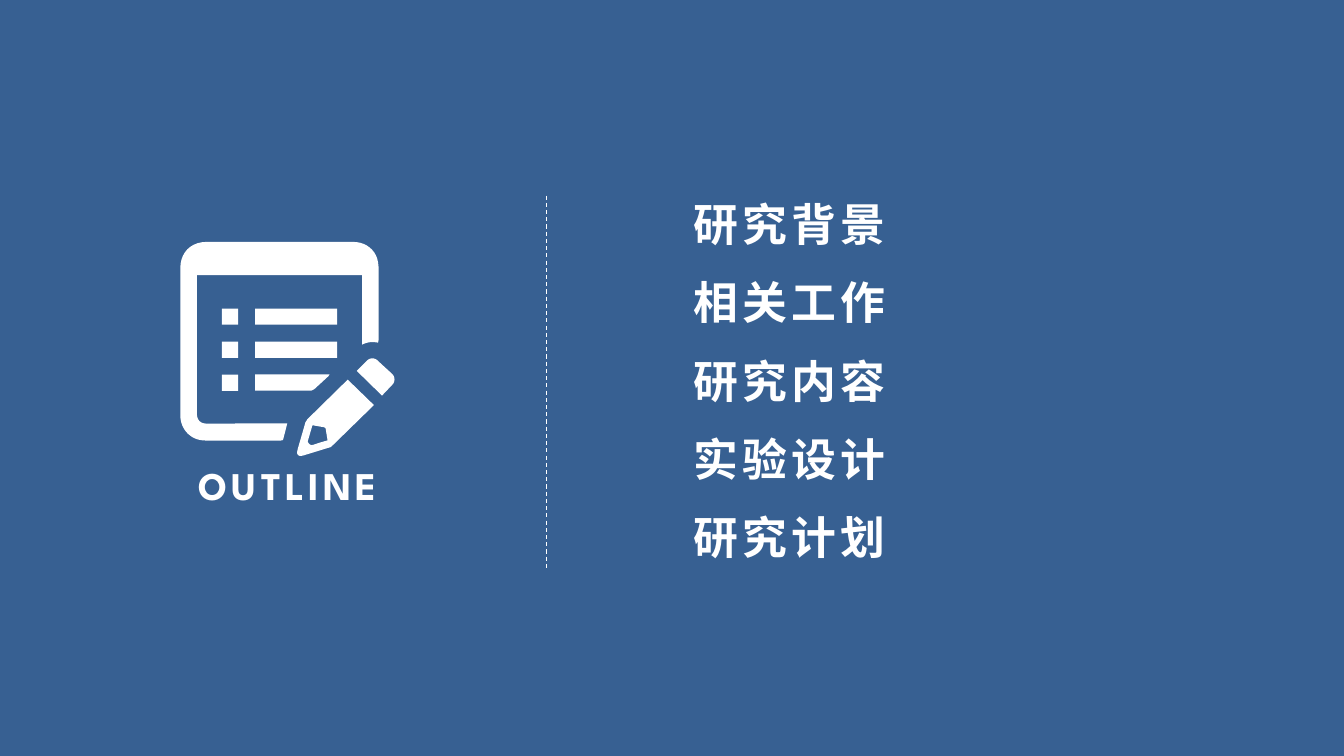
from lxml.etree import SubElement
from pptx import Presentation
from pptx.dml.color import RGBColor
from pptx.enum.dml import MSO_LINE
from pptx.enum.shapes import MSO_CONNECTOR, MSO_SHAPE
from pptx.enum.text import MSO_AUTO_SIZE as AutoSize, PP_ALIGN as Align
from pptx.oxml.ns import qn
from pptx.util import Pt

TOPICS = ["研究背景", "相关工作", "研究内容", "实验设计", "研究计划"]
HEADING = "OUTLINE"
TOPIC_FONT = "Noto Sans CJK SC"
HEADING_FONT = "League Spartan"
BLUE = RGBColor(0x37, 0x60, 0x92)
WHITE = RGBColor(0xFF, 0xFF, 0xFF)

# Each contour step is a line end (x, y) or a cubic curve (x1, y1, x2, y2, x, y).
NOTEPAD = [[
    (205.2, 302.4), (202.3, 313.9), (201.6, 314.6), (200.2, 314.7), (147.6, 314.7),
    (144, 314.7, 140.9, 314.2, 137.5, 312.3), (131.8, 308.9, 128.8, 303.1, 128.8, 296.6),
    (128.8, 191.5), (128.8, 180.7, 136.1, 172.8, 147.6, 172.8), (252, 172.8),
    (261.4, 172.8, 268.6, 178.6, 270, 187.2), (270.5, 191.5), (270.5, 242.6), (270, 244.8),
    (266.4, 244.1, 262.8, 244.1, 258.6, 246.2), (258.6, 196.6), (140.6, 196.6),
    (140.6, 295.2), (140.6, 299.5, 142.6, 302.6, 147.6, 302.6),
]]
PENCIL = [
    [(248.4, 271.2), (267.1, 289.4), (238.3, 317.5), (236.2, 319.4), (216.7, 325.4),
     (215.3, 325.7, 213.8, 326, 213, 325), (211.7, 324, 212.4, 322.6, 212.6, 321.1),
     (218.2, 301.7), (219.6, 299.5)],
    [(223.2, 303.8), (219.8, 315.4), (220.3, 316.4), (221.8, 318.2, 222.5, 318.2, 224.6, 317.5),
     (228.2, 316.3), (234, 314.6), (232.6, 306), (231.8, 305.3)],
]
ERASER = [[
    (254.9, 265), (262.1, 257.8), (264.2, 255.4, 267.8, 255.4, 270, 257.8),
    (280.1, 267.1), (282.4, 269.3, 282.4, 272.9, 280.1, 275), (272.9, 282.6),
]]
CUT_BAR = [[
    (182.2, 267.4), (235.4, 267.4), (234.7, 268.6), (224.6, 277.9), (222.5, 279), (182.2, 279.1),
]]

BULLET_LEFT, BAR_LEFT, ROW_TOP, ROW_STEP = 158.5, 182.2, 220.4, 23.6
BULLET_SIZE, BAR_WIDTH = 11.6, 58.6
TOPIC_LEFT, TOPIC_TOP, TOPIC_STEP = 488.2, 136.8, 56


def flatten(contour, steps=10):
    points = [contour[0]]
    for move in contour[1:]:
        if len(move) == 2:
            points.append(move)
            continue
        start, first, second, end = points[-1], move[:2], move[2:4], move[4:]
        for step in range(1, steps + 1):
            t = step / steps
            u = 1 - t
            points.append(tuple(
                u**3 * a + 3 * u * u * t * b + 3 * u * t * t * c + t**3 * d
                for a, b, c, d in zip(start, first, second, end)))
    return [(Pt(x), Pt(y)) for x, y in points]


def paint(shape):
    shape.shadow.inherit = False
    shape.fill.solid()
    shape.fill.fore_color.rgb = WHITE
    shape.line.fill.background()


def add_outline(shapes, contours):
    first, *others = [flatten(contour) for contour in contours]
    builder = shapes.build_freeform(*first[0], scale=1.0)
    builder.add_line_segments(first[1:], close=True)
    for points in others:
        builder.move_to(*points[0])
        builder.add_line_segments(points[1:], close=True)
    paint(builder.convert_to_shape())


def add_bar(shapes, left, top, width):
    paint(shapes.add_shape(MSO_SHAPE.RECTANGLE, Pt(left), Pt(top), Pt(width), Pt(BULLET_SIZE)))


def add_text(page, text, left, top, width, height, size, face, align):
    box = page.shapes.add_textbox(Pt(left), Pt(top), Pt(width), Pt(height))
    frame = box.text_frame
    frame.text = text
    frame.word_wrap = True
    frame.auto_size = AutoSize.SHAPE_TO_FIT_TEXT
    para = frame.paragraphs[0]
    para.alignment = align
    span = para.runs[0]
    span.font.size = Pt(size)
    span.font.bold = True
    span.font.name = face
    span.font.color.rgb = WHITE
    properties = span.font._element
    properties.set("spc", "300")
    SubElement(properties, qn("a:ea")).set("typeface", face)


def add_divider(page):
    divider = page.shapes.add_connector(
        MSO_CONNECTOR.STRAIGHT, Pt(390.2), Pt(139.7), Pt(390.2), Pt(406))
    divider.line.color.rgb = WHITE
    divider.line.width = Pt(0.75)
    divider.line.dash_style = MSO_LINE.DASH
    SubElement(divider._element.spPr, qn("a:effectLst"))


def add_icon(page):
    icon = page.shapes.add_group_shape().shapes
    for outline in (NOTEPAD, PENCIL, CUT_BAR, ERASER):
        add_outline(icon, outline)
    for row in range(3):
        top = ROW_TOP + row * ROW_STEP
        add_bar(icon, BULLET_LEFT, top, BULLET_SIZE)
        if row < 2:
            add_bar(icon, BAR_LEFT, top, BAR_WIDTH)


def main():
    deck = Presentation()
    deck.slide_width, deck.slide_height = Pt(960), Pt(540)
    page = deck.slides.add_slide(deck.slide_layouts[6])
    page.background.fill.solid()
    page.background.fill.fore_color.rgb = BLUE
    add_divider(page)
    for index, topic in enumerate(TOPICS):
        add_text(page, topic, TOPIC_LEFT, TOPIC_TOP + index * TOPIC_STEP, 174.2, 46.1,
                 32, TOPIC_FONT, Align.LEFT)
    add_icon(page)
    add_text(page, HEADING, 100.8, 326.2, 209.5, 41, 28, HEADING_FONT, Align.CENTER)
    deck.save("out.pptx")


if __name__ == "__main__":
    main()
